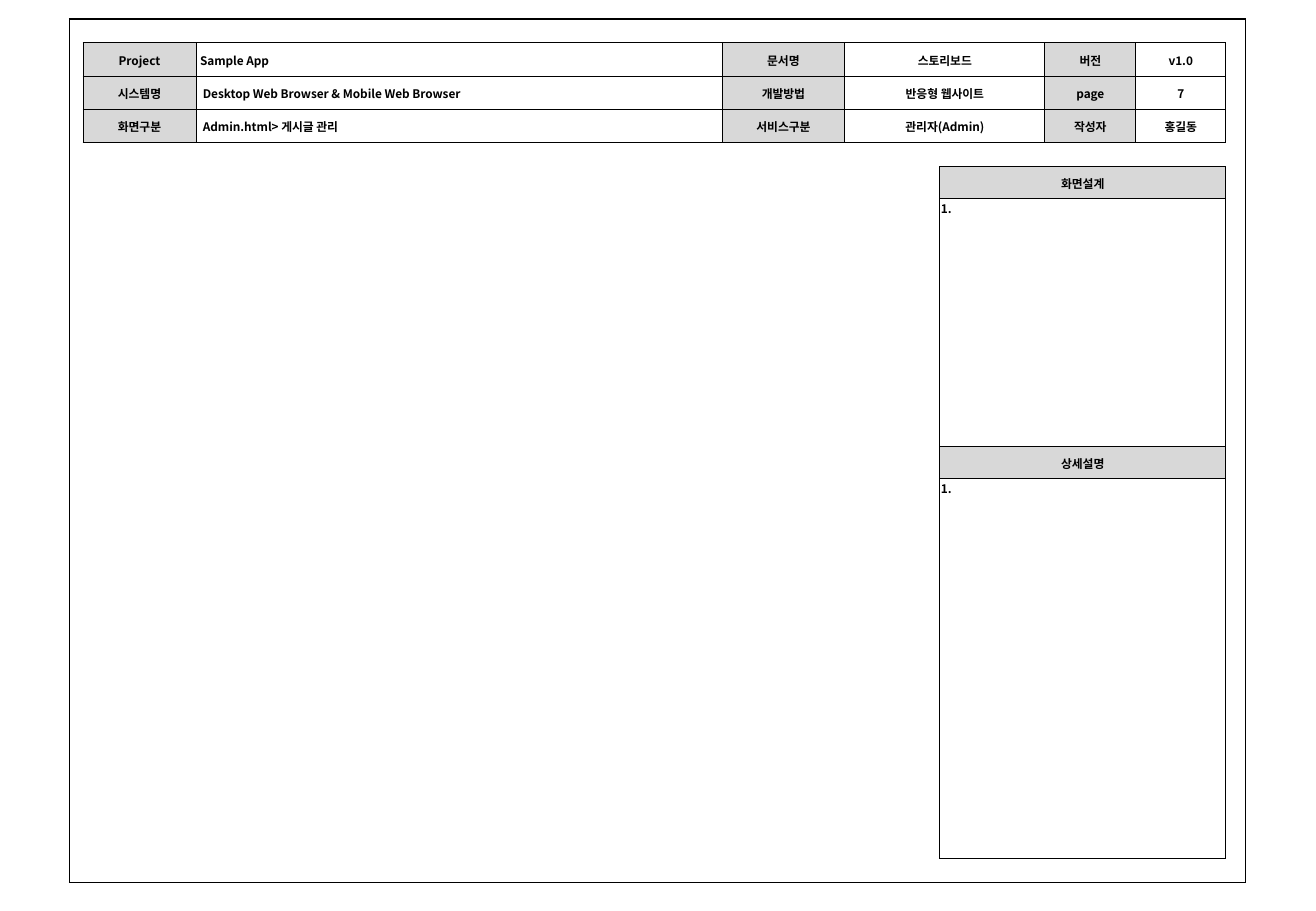
from dataclasses import dataclass
from itertools import product

from lxml import etree
from pptx import Presentation
from pptx.dml.color import RGBColor
from pptx.enum.text import MSO_ANCHOR, PP_ALIGN
from pptx.oxml.ns import qn
from pptx.table import Table, _Cell
from pptx.util import Pt

CENTER, LEFT = PP_ALIGN.CENTER, PP_ALIGN.LEFT
MIDDLE, TOP = MSO_ANCHOR.MIDDLE, MSO_ANCHOR.TOP

BLACK = RGBColor(0x00, 0x00, 0x00)
WHITE = RGBColor(0xFF, 0xFF, 0xFF)
GRAY = RGBColor(0xD8, 0xD8, 0xD8)

FONT = "Noto Sans CJK KR"
FONT_SIZE = 7
FRAME_LINE, BOX_LINE = 1, 0.5
INSET = 0.7
BLANK_LAYOUT = 6

TABLE_LEFT, TABLE_TOP = 41.2, 11.3
COLUMN_WIDTHS = [8, 67, 311.8, 72.8, 56.3, 62.3, 53.9, 53.3, 11.6]
ROW_HEIGHTS = [14.1, 20, 19.6, 19.6, 14.2, 19, 147, 19, 225.2, 14.2]

# Border side: step in rows and columns to the neighbouring cell
SIDES = {"lnL": (0, -1), "lnR": (0, 1), "lnT": (-1, 0), "lnB": (1, 0)}


@dataclass(frozen=True)
class Box:
    row: int
    column: int
    text: str
    span: int = 1
    fill: RGBColor = WHITE
    align: PP_ALIGN = CENTER
    anchor: MSO_ANCHOR = MIDDLE
    indent: float = INSET


# Header rows: label and value pairs
HEADER_ROWS = [
    ("Project", "Sample App", "문서명", "스토리보드", "버전", "v1.0"),
    ("시스템명", "Desktop Web Browser & Mobile Web Browser", "개발방법", "반응형 웹사이트", "page", "7"),
    ("화면구분", "Admin.html> 게시글 관리", "서비스구분", "관리자(Admin)", "작성자", "홍길동"),
]
HEADER_COLUMNS = [1, 2, 3, 4, 6, 7]
WIDE_COLUMN, INDENTED_COLUMN = 4, 2
ROW_INDENTS = [2.4, 4.1, 4.1]

# Side panel: title and note pairs
SIDE_TITLES = ["화면설계", "상세설명"]
SIDE_ROW, SIDE_COLUMN, SIDE_SPAN = 5, 5, 3


def make_boxes() -> list[Box]:
    boxes = []
    for row, (texts, indent) in enumerate(zip(HEADER_ROWS, ROW_INDENTS), start=1):
        for position, (column, text) in enumerate(zip(HEADER_COLUMNS, texts)):
            indented = column == INDENTED_COLUMN
            boxes.append(Box(
                row, column, text,
                span=2 if column == WIDE_COLUMN else 1,
                fill=WHITE if position % 2 else GRAY,
                align=LEFT if indented else CENTER,
                indent=indent if indented else INSET,
            ))
    for index, title in enumerate(SIDE_TITLES):
        row = SIDE_ROW + 2 * index
        boxes.append(Box(row, SIDE_COLUMN, title, SIDE_SPAN, GRAY))
        boxes.append(Box(row + 1, SIDE_COLUMN, "1.", SIDE_SPAN, align=LEFT, anchor=TOP))
    return boxes


def add_border(cell: _Cell, side: str, width: float) -> None:
    properties = cell._tc.get_or_add_tcPr()
    line = etree.SubElement(properties, qn(f"a:{side}"), w=str(Pt(width)))
    if width:
        fill = etree.SubElement(line, qn("a:solidFill"))
        etree.SubElement(fill, qn("a:srgbClr"), val=str(BLACK))
    else:
        etree.SubElement(line, qn("a:noFill"))


def prepare_cell(cell: _Cell) -> None:
    cell.margin_left = cell.margin_right = cell.margin_top = Pt(INSET)
    cell.margin_bottom = Pt(0)
    cell.fill.solid()
    cell.fill.fore_color.rgb = WHITE
    # A small end mark keeps empty rows from growing
    para = cell.text_frame.paragraphs[0]
    etree.SubElement(para._p, qn("a:endParaRPr"), sz=str(FONT_SIZE * 100))


def fill_box(table: Table, box: Box) -> None:
    cell = table.cell(box.row, box.column)
    if box.span > 1:
        cell.merge(table.cell(box.row, box.column + box.span - 1))
    cell.fill.solid()
    cell.fill.fore_color.rgb = box.fill
    cell.vertical_anchor = box.anchor
    cell.margin_left = Pt(box.indent)
    para = cell.text_frame.paragraphs[0]
    para.text = box.text
    para.alignment = box.align
    font = para.runs[0].font
    font.name, font.size, font.bold = FONT, Pt(FONT_SIZE), True
    font.color.rgb = BLACK
    etree.SubElement(para.runs[0]._r.get_or_add_rPr(), qn("a:ea"), typeface=FONT)


def draw_borders(table: Table, boxes: list[Box]) -> None:
    owners = {
        (box.row, box.column + offset): box for box in boxes for offset in range(box.span)
    }
    grid = set(product(range(len(ROW_HEIGHTS)), range(len(COLUMN_WIDTHS))))
    for row, column in grid:
        for side, (down, right) in SIDES.items():
            neighbour = (row + down, column + right)
            if neighbour not in grid:
                width = FRAME_LINE
            elif owners.get((row, column)) != owners.get(neighbour):
                width = BOX_LINE
            else:
                width = 0
            add_border(table.cell(row, column), side, width)


def main() -> None:
    deck = Presentation()
    deck.slide_width, deck.slide_height = Pt(780), Pt(540)
    page = deck.slides.add_slide(deck.slide_layouts[BLANK_LAYOUT])

    # Page frame, header and side panel form one table
    table = page.shapes.add_table(
        len(ROW_HEIGHTS), len(COLUMN_WIDTHS), Pt(TABLE_LEFT), Pt(TABLE_TOP),
        Pt(sum(COLUMN_WIDTHS)), Pt(sum(ROW_HEIGHTS)),
    ).table
    table.first_row = table.horz_banding = False
    for column, width in zip(table.columns, COLUMN_WIDTHS):
        column.width = Pt(width)
    for row, height in zip(table.rows, ROW_HEIGHTS):
        row.height = Pt(height)

    # Borders come before fills in the cell properties
    boxes = make_boxes()
    draw_borders(table, boxes)
    for cell in table.iter_cells():
        prepare_cell(cell)
    for box in boxes:
        fill_box(table, box)

    deck.save("out.pptx")


if __name__ == "__main__":
    main()
